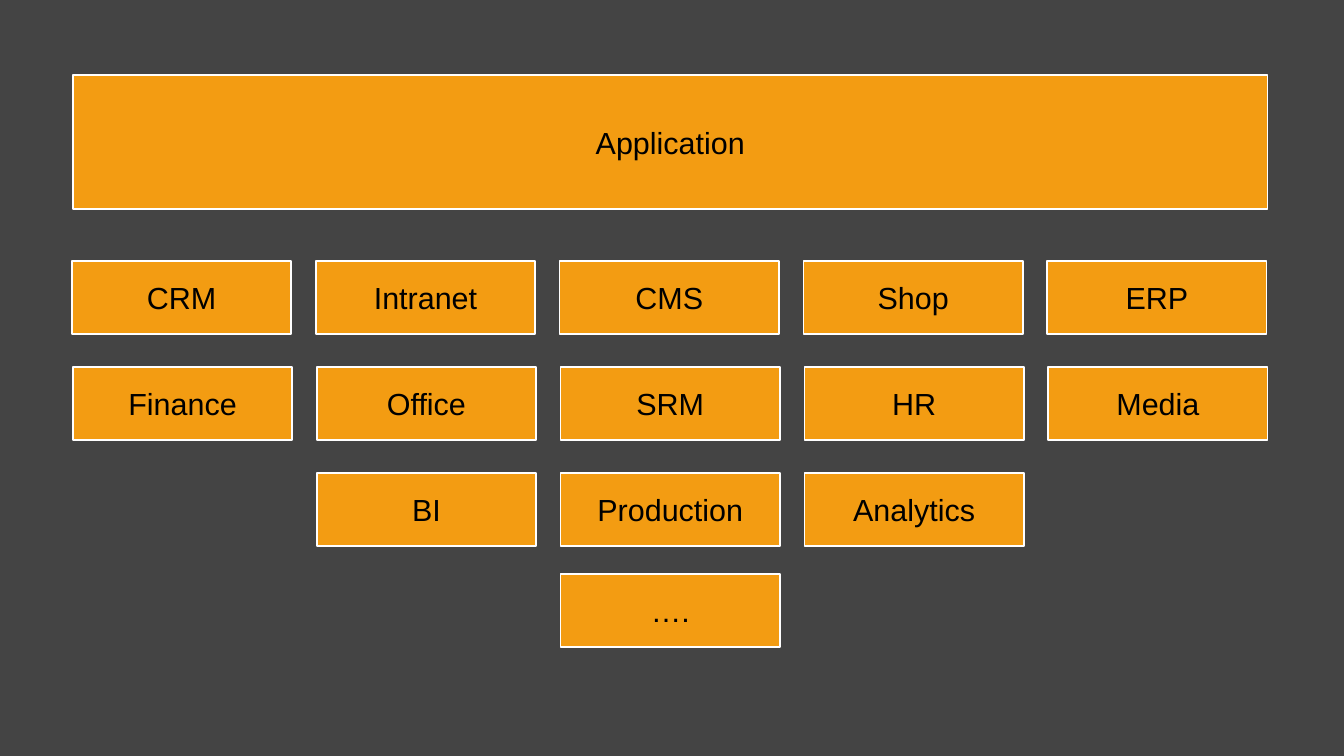
from pptx import Presentation
from pptx.dml.color import RGBColor
from pptx.enum import shapes, text
from pptx.util import Cm, Pt

WIDE, HIGH = 4.57, 1.52   # module box
STEP = 5.08               # from one column to the next
COLS = 5

# Left edge, top edge and labels of each row of modules
ROWS = [
    (1.5, 5.44, ["CRM", "Intranet", "CMS", "Shop", "ERP"]),
    (1.52, 7.65, ["Finance", "Office", "SRM", "HR", "Media"]),
    (1.52, 9.86, ["BI", "Production", "Analytics"]),
    (1.52, 11.96, ["…."]),
]


def paint(color, code):
    color.rgb = RGBColor.from_string(code)


def add_box(slide, label, left, top, wide, high):
    box = slide.shapes.add_shape(shapes.MSO_SHAPE.RECTANGLE,
                                 Cm(left), Cm(top), Cm(wide), Cm(high))
    box.shadow.inherit = False
    box.fill.solid()
    paint(box.fill.fore_color, "F39C12")
    paint(box.line.color, "FFFFFF")
    box.line.width = Pt(1)

    # Label
    frame = box.text_frame
    frame.word_wrap = False
    frame.vertical_anchor = text.MSO_ANCHOR.MIDDLE
    frame.margin_left = frame.margin_right = Cm(0.28)
    frame.margin_top = frame.margin_bottom = Cm(0.15)
    para = frame.paragraphs[0]
    para.text = label
    para.alignment = text.PP_ALIGN.CENTER
    para.font.name = "Arial"
    para.font.size = Pt(18)
    paint(para.font.color, "000000")


def add_row(slide, left, top, labels):
    # Short rows are centred on the grid
    first = (COLS - len(labels)) / 2
    for i, label in enumerate(labels):
        add_box(slide, label, left + (first + i) * STEP, top, WIDE, HIGH)


def main():
    deck = Presentation()
    deck.slide_width, deck.slide_height = Cm(28), Cm(15.75)
    slide = deck.slides.add_slide(deck.slide_layouts[6])

    # Background
    fill = slide.background.fill
    fill.solid()
    paint(fill.fore_color, "444444")

    # Application banner, as wide as the grid
    add_box(slide, "Application", 1.52, 1.57, (COLS - 1) * STEP + WIDE, 2.79)

    # Modules
    for left, top, labels in ROWS:
        add_row(slide, left, top, labels)

    deck.save("out.pptx")


if __name__ == "__main__":
    main()
